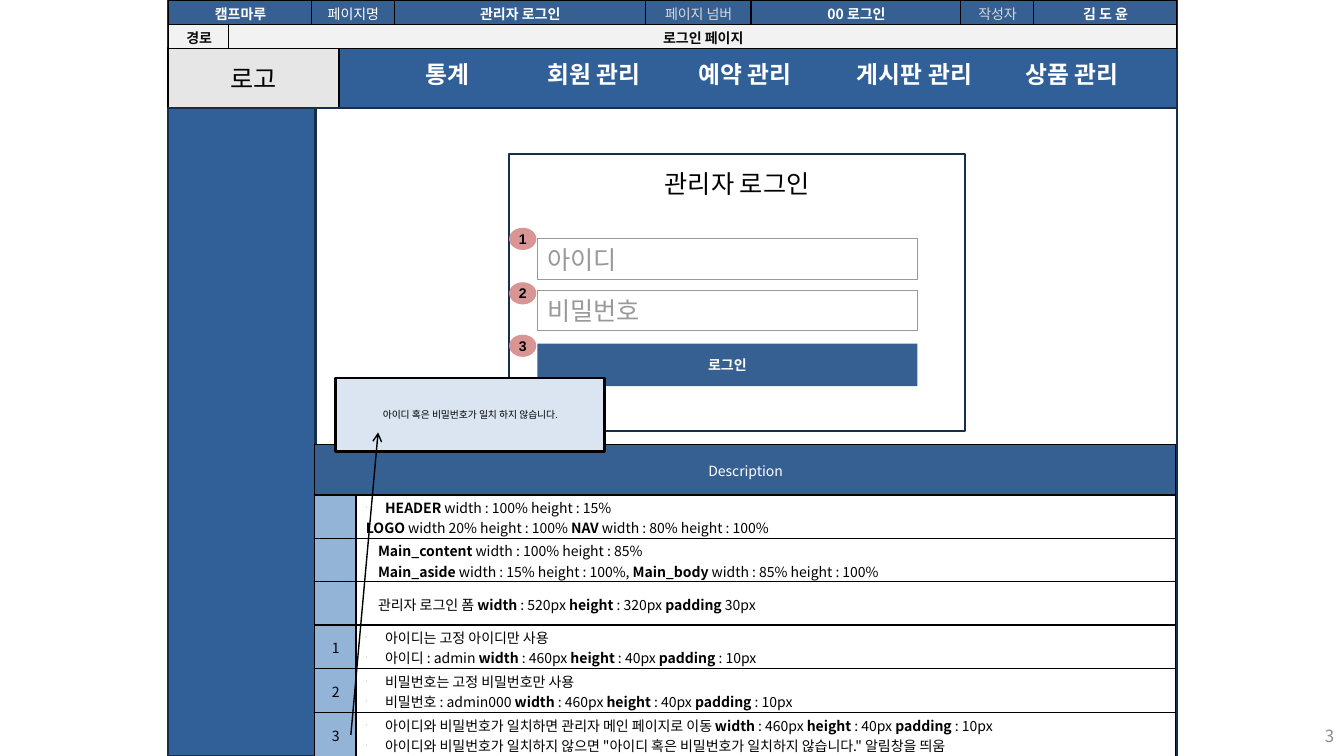
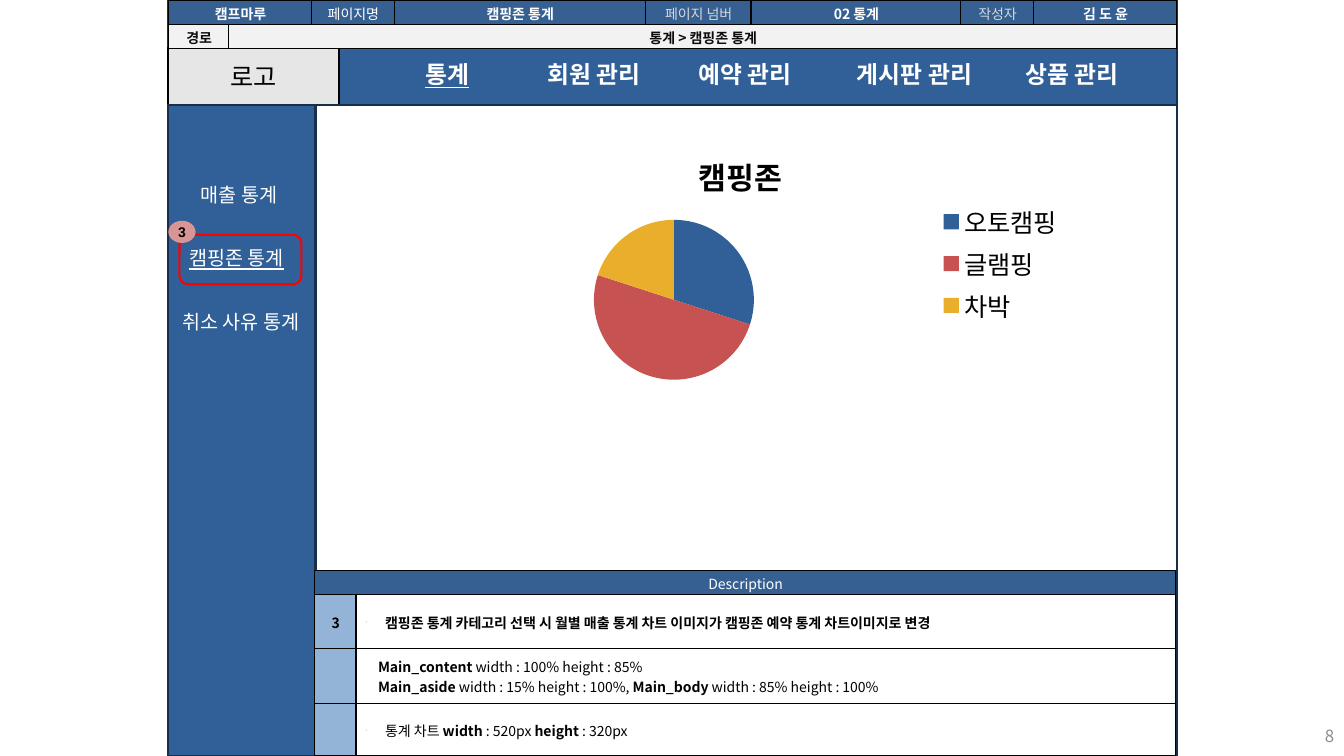
from lxml import etree
from pptx import Presentation
from pptx.chart import data
from pptx.dml import color
from pptx.enum import chart as charts, shapes, text
from pptx.oxml import ns
from pptx.util import Inches, Pt

COLORS = {
    "blue": "315F97", "band": "366092", "navy": "182F4B", "black": "000000",
    "white": "FFFFFF", "logo": "E6E6E6", "path": "F2F2F2", "ink": "0C0C0C",
    "muted": "D8D8D8", "number": "93B3D7", "hint": "999999", "badge": "D99593",
    "popup": "DAE5F1", "red": "FF0000", "coral": "C75252", "amber": "E9AE2B",
    "page": "8C8C8C",
}
FONT = "Noto Sans CJK KR"
LEFT, WIDTH, HEIGHT = 1.67, 10, 7.5
ASIDE, TABLE_LEFT = 1.46, 3.12
LEFT_ALIGN, CENTER, RIGHT = text.PP_ALIGN.LEFT, text.PP_ALIGN.CENTER, text.PP_ALIGN.RIGHT
RECT, OVAL = shapes.MSO_SHAPE.RECTANGLE, shapes.MSO_SHAPE.OVAL
NAV = [("통계", 4.12, 0.67), ("회원 관리", 5.33, 1.18), ("예약 관리", 6.83, 1.19),
       ("게시판 관리", 8.4, 1.41), ("상품 관리", 10.07, 1.18)]
MAIN_NOTE = ("**Main_content** width : 100% height : 85%\n"
             "**Main_aside** width : 15% height : 100%, **Main_body** width : 85% height : 100%")


def rgb(name):
    """Return the named colour."""
    return color.RGBColor.from_string(COLORS[name])


def add_xml(parent, tag, **attributes):
    """Append one drawing element and return it."""
    return etree.SubElement(parent, ns.qn(tag), attributes)


def write(frame, words, size=10, ink="black", bold=False, underline=False,
          align=CENTER, font=FONT):
    """Write lines of text; ** switches bold, a leading "- " makes a bullet."""
    for index, line in enumerate(words.split("\n")):
        para = frame.paragraphs[0] if index == 0 else frame.add_paragraph()
        para.alignment = align
        if line.startswith("- "):
            line = line[2:]
            props = para._p.get_or_add_pPr()
            props.set("marL", str(Inches(0.19)))
            props.set("indent", str(-Inches(0.19)))
            add_xml(props, "a:buSzPct", val="25000")
            add_xml(props, "a:buChar", char="-")
        for turn, part in enumerate(line.split("**")):
            if not part:
                continue
            span = para.add_run()
            span.text = part
            span.font.size = Pt(size)
            span.font.bold = bold or turn % 2 == 1
            span.font.underline = underline
            span.font.name = font
            span.font.color.rgb = rgb(ink)
            add_xml(span._r.get_or_add_rPr(), "a:ea", typeface=FONT)


def add_box(page, area, words="", kind=RECT, fill=None, line=None, weight=1.5, **style):
    """Draw a shape with optional fill, outline and centred text."""
    box = page.shapes.add_shape(kind, *map(Inches, area))
    box.shadow.inherit = False
    if fill:
        box.fill.solid()
        box.fill.fore_color.rgb = rgb(fill)
    else:
        box.fill.background()
    if line:
        box.line.color.rgb = rgb(line)
        box.line.width = Pt(weight)
    else:
        box.line.fill.background()
    if words:
        box.text_frame.vertical_anchor = text.MSO_ANCHOR.MIDDLE
        write(box.text_frame, words, **style)
    return box


def add_label(page, area, words, wrap=False, **style):
    """Place a text box."""
    frame = page.shapes.add_textbox(*map(Inches, area)).text_frame
    frame.word_wrap = wrap
    frame.vertical_anchor = text.MSO_ANCHOR.MIDDLE
    write(frame, words, **style)


def add_badge(page, left, top, number):
    """Mark a part with a numbered oval."""
    badge = add_box(page, (left, top, 0.27, 0.22), number, OVAL, "badge", bold=True, font="Arial")
    badge.text_frame.word_wrap = False


def add_grid(page, left, top, columns, rows):
    """Add a table with thin black borders and no style of its own."""
    grid = page.shapes.add_table(len(rows), len(columns), *map(
        Inches, (left, top, sum(columns), sum(rows)))).table
    grid.first_row = grid.horz_banding = False
    for column, width in zip(grid.columns, columns):
        column.width = Inches(width)
    for row, height in zip(grid.rows, rows):
        row.height = Inches(height)
    for cell in grid.iter_cells():
        props = cell._tc.get_or_add_tcPr()
        for side in ("a:lnL", "a:lnR", "a:lnT", "a:lnB"):
            edge = add_xml(props, side, w=str(Pt(1)))
            add_xml(add_xml(edge, "a:solidFill"), "a:srgbClr", val=COLORS["black"])
        add_xml(cell.text_frame.paragraphs[0]._p, "a:endParaRPr", sz="1000")
    return grid


def fill_cell(cell, words, fill, indent=0.1, **style):
    """Colour a cell and write its text."""
    cell.fill.solid()
    cell.fill.fore_color.rgb = rgb(fill)
    cell.vertical_anchor = text.MSO_ANCHOR.MIDDLE
    cell.margin_left, cell.margin_right = Inches(indent), Inches(0.09)
    cell.margin_top, cell.margin_bottom = Inches(0.02), 0
    if words:
        write(cell.text_frame, words, **style)


def add_header_table(page, name, number, route):
    """Add the two-row band with the page's name, number and route."""
    grid = add_grid(page, LEFT, 0, [0.6, 0.82, 0.82, 2.49, 1.05, 2.08, 0.72, 1.42], [0.24, 0.24])
    grid.cell(0, 0).merge(grid.cell(0, 1))
    grid.cell(1, 1).merge(grid.cell(1, 7))
    titles = [(0, "캠프마루", "white", True), (2, "페이지명", "white", False),
              (3, name, "white", True), (4, "페이지 넘버", "muted", False),
              (5, number, "white", True), (6, "작성자", "muted", False),
              (7, "김 도 윤", "white", True)]
    for column, words, ink, bold in titles:
        fill_cell(grid.cell(0, column), words, "band", ink=ink, bold=bold)
    for column, words in enumerate(("경로", route)):
        fill_cell(grid.cell(1, column), words, "path", ink="ink", bold=True)


def add_description(page, top, heights, notes):
    """Add the description table: a number and a note in each row."""
    grid = add_grid(page, TABLE_LEFT, top, [0.41, 8.13], heights)
    grid.cell(0, 0).merge(grid.cell(0, 1))
    fill_cell(grid.cell(0, 0), "Description", "band", ink="white")
    for row, (number, note, bold) in enumerate(notes, 1):
        fill_cell(grid.cell(row, 0), number, "number", bold=bold)
        fill_cell(grid.cell(row, 1), note, "white", bold=bold, align=LEFT_ALIGN,
                  indent=0.1 if note.startswith("- ") else 0.22)


def add_frame(deck, bottom, page_number, current=None):
    """Start a page with its header, logo, menu, aside and body."""
    page = deck.slides.add_slide(deck.slide_layouts[6])
    add_box(page, (LEFT, 0, WIDTH, HEIGHT), line="navy")
    add_box(page, (LEFT, 0, WIDTH, bottom), fill="blue", line="navy")
    add_box(page, (LEFT, 0.48, 1.69, bottom - 0.48), "로고", fill="logo", line="black", size=18)
    add_box(page, (LEFT, bottom, ASIDE, HEIGHT - bottom), fill="blue", line="navy")
    add_box(page, (LEFT + ASIDE, bottom, WIDTH - ASIDE, HEIGHT - bottom), line="navy")
    for words, left, width in NAV:
        add_label(page, (left, 0.54, width, 0.39), words, size=17, ink="white", bold=True,
                  underline=words == current, align=LEFT_ALIGN)
    add_label(page, (10.22, 7.1, 3.11, 0.4), page_number, wrap=True, size=12, ink="page",
              align=RIGHT)
    return page


def add_login_form(page, left, top):
    """Draw the login panel with two fields, a button and badges."""
    add_box(page, (left, top, 4.52, 2.75), line="navy")
    add_label(page, (left + 1.22, top + 0.09, 2.08, 0.4), "관리자 로그인", wrap=True, size=18)
    inner = left + 0.28
    for words, offset in (("아이디", 0.84), ("비밀번호", 1.35)):
        add_box(page, (inner, top + offset, 3.77, 0.4), words, line="hint", weight=0.75,
                size=18, ink="hint", align=LEFT_ALIGN)
    add_box(page, (inner, top + 1.88, 3.77, 0.42), "로그인", fill="band", ink="white",
            bold=True, font="Arial")
    for number, offset in (("1", 0.73), ("2", 1.27), ("3", 1.79)):
        add_badge(page, left, top + offset, number)


def add_alert(page, area, start, end):
    """Show the alert window and the arrow that leads to it."""
    add_box(page, area, "아이디 혹은 비밀번호가 일치 하지 않습니다.", fill="popup",
            line="black", weight=2, size=7, font="Arial")
    arrow = page.shapes.add_connector(shapes.MSO_CONNECTOR.STRAIGHT, *map(Inches, start + end))
    arrow.line.color.rgb = rgb("black")
    arrow.line.width = Pt(1)
    add_xml(arrow.line._get_or_add_ln(), "a:tailEnd", type="arrow")
    add_xml(arrow._element.spPr, "a:effectLst")


def add_aside_menu(page):
    """List the statistics pages and mark the current one."""
    add_box(page, (1.78, 2.33, 1.21, 0.49), kind=shapes.MSO_SHAPE.ROUNDED_RECTANGLE, line="red")
    add_badge(page, LEFT, 2.19, "3")
    entries = [("매출 통계", 1.89, 1.01), ("캠핑존 통계", 1.78, 1.2), ("취소 사유 통계", 1.71, 1.46)]
    for index, (words, left, width) in enumerate(entries):
        add_label(page, (left, 1.77 + 0.63 * index, width, 0.32), words, size=14, ink="white",
                  underline=index == 1, align=LEFT_ALIGN)


def add_zone_chart(page, area):
    """Add the pie of camping zones."""
    zones = data.CategoryChartData()
    zones.categories = ["오토캠핑", "글램핑", "차박"]
    zones.add_series("캠핑존", [30, 50, 20])
    pie = page.shapes.add_chart(charts.XL_CHART_TYPE.PIE, *map(Inches, area), zones).chart
    pie.font.size, pie.font.name = Pt(18), FONT
    pie.font.color.rgb = rgb("black")
    pie.has_title = True
    write(pie.chart_title.text_frame, "캠핑존", size=21.6, bold=True)
    pie.has_legend = True
    pie.legend.position = charts.XL_LEGEND_POSITION.RIGHT
    pie.legend.include_in_layout = False
    for index, name in enumerate(("blue", "coral", "amber")):
        wedge = pie.plots[0].series[0].points[index].format
        wedge.fill.solid()
        wedge.fill.fore_color.rgb = rgb(name)
        wedge.line.fill.background()
    plot = pie._chartSpace.chart.plotArea
    for old in plot.findall(ns.qn("c:layout")):
        plot.remove(old)
    layout = etree.Element(ns.qn("c:layout"))
    plot.insert(0, layout)
    manual = add_xml(layout, "c:manualLayout")
    for tag, value in (("layoutTarget", "inner"), ("xMode", "edge"), ("yMode", "edge"),
                       ("x", "0.28"), ("y", "0.33"), ("w", "0.24"), ("h", "0.62")):
        add_xml(manual, "c:" + tag, val=value)


def build_login(deck):
    """Build the login page."""
    page = add_frame(deck, 1.07, "3")
    field = "**width** : 460px **height** : 40px **padding** : 10px"
    add_description(page, 4.41, [0.5] + [0.43] * 4 + [0.44] * 2, [
        ("", "- **HEADER** width : 100% height : 15%\n"
             "**LOGO** width 20% height : 100% **NAV** width : 80% height : 100%", False),
        ("", MAIN_NOTE, False),
        ("", "관리자 로그인 폼 **width** : 520px **height** : 320px **padding** 30px", False),
        ("1", "- 아이디는 고정 아이디만 사용\n- 아이디 : admin " + field, False),
        ("2", "- 비밀번호는 고정 비밀번호만 사용\n- 비밀번호 : admin000 " + field, False),
        ("3", "- 아이디와 비밀번호가 일치하면 관리자 메인 페이지로 이동 " + field
              + "\n- 아이디와 비밀번호가 일치하지 않으면 \"아이디 혹은 비밀번호가 "
                "일치하지 않습니다.\" 알림창을 띄움", False),
    ])
    add_header_table(page, "관리자 로그인", "00 로그인", "로그인 페이지")
    add_login_form(page, 5.05, 1.53)
    add_alert(page, (3.33, 3.75, 2.67, 0.73), (3.48, 7.29), (3.75, 4.29))


def build_statistics(deck):
    """Build the camping zone statistics page."""
    page = add_frame(deck, 1.04, "8", current="통계")
    add_aside_menu(page)
    add_description(page, 5.66, [0.24, 0.53, 0.55, 0.52], [
        ("3", "- 캠핑존 통계 카테고리 선택 시 월별 매출 통계 차트 이미지가 "
              "캠핑존 예약 통계 차트이미지로 변경", True),
        ("", MAIN_NOTE, False),
        ("", "- 통계 차트 **width** : 520px **height** : 320px", False),
    ])
    add_zone_chart(page, (4.04, 1.33, 6.61, 2.57))
    add_header_table(page, "캠핑존 통계", "02 통계", "통계 > 캠핑존 통계")


deck = Presentation()
deck.slide_width, deck.slide_height = Inches(13.33), Inches(HEIGHT)
build_login(deck)
build_statistics(deck)
deck.save("out.pptx")
